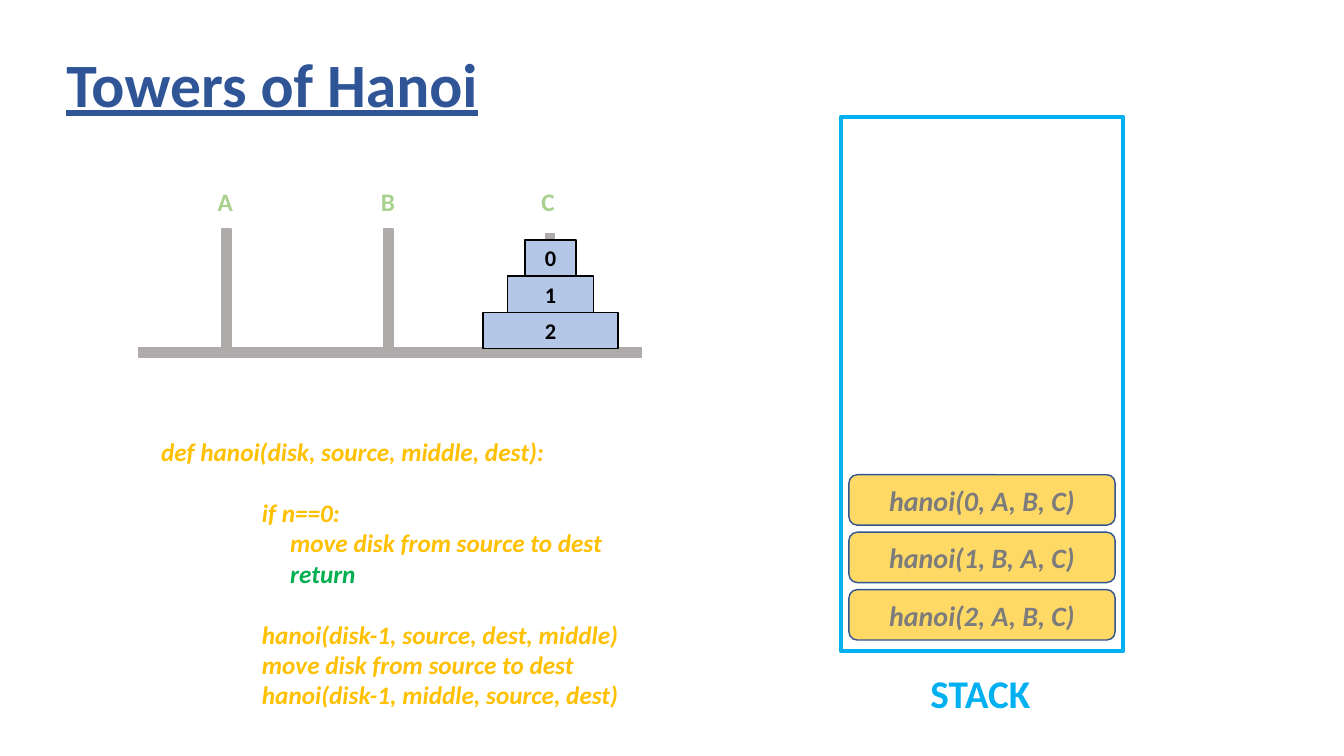
from pptx import Presentation
from pptx import util as u
from pptx.dml.color import RGBColor
from pptx.enum import shapes, text

PX = 9144  # 100 px to the inch
FONT = "Calibri"
NAVY = RGBColor(0x2F, 0x55, 0x97)
GRAY = RGBColor(0xAF, 0xAB, 0xAB)
PALE_BLUE = RGBColor(0xB4, 0xC7, 0xE7)
BLACK = RGBColor(0, 0, 0)
CYAN = RGBColor(0x00, 0xB0, 0xF0)
PALE_GREEN = RGBColor(0xA9, 0xD1, 0x8E)
GOLD = RGBColor(0xFF, 0xC0, 0x00)
GREEN = RGBColor(0x00, 0xB0, 0x50)
YELLOW = RGBColor(0xFF, 0xD9, 0x66)
FRAME_EDGE = RGBColor(0x32, 0x54, 0x91)
DARK_GRAY = RGBColor(0x7C, 0x7C, 0x7C)

presentation = Presentation()
presentation.slide_width = 1333 * PX
presentation.slide_height = 750 * PX
slide = presentation.slides.add_slide(presentation.slide_layouts[6])


def add_box(kind, left, top, width, height, fill, edge, weight=1):
    shape = slide.shapes.add_shape(kind, *(round(n * PX) for n in (left, top, width, height)))
    shape.shadow.inherit = False
    if fill is None:
        shape.fill.background()
    else:
        shape.fill.solid()
        shape.fill.fore_color.rgb = fill
    shape.line.color.rgb = edge
    shape.line.width = u.Pt(weight)
    return shape


def write(paragraph, words, size, color, italic=False, align=text.PP_ALIGN.LEFT):
    paragraph.text = words
    paragraph.alignment = align
    font = paragraph.font
    font.name, font.size, font.bold, font.italic = FONT, u.Pt(size), True, italic
    font.color.rgb = color


RECTANGLE = shapes.MSO_SHAPE.RECTANGLE
ROUNDED = shapes.MSO_SHAPE.ROUNDED_RECTANGLE
CENTER = text.PP_ALIGN.CENTER

# Title
title = slide.shapes.add_textbox(56 * PX, 14 * PX, 1150 * PX, 145 * PX).text_frame
title.word_wrap = True
title.vertical_anchor = text.MSO_ANCHOR.MIDDLE
write(title.paragraphs[0], "Towers of Hanoi", 44, NAVY)
title.paragraphs[0].font.underline = True
title.paragraphs[0].line_spacing = 0.9

# Base and pegs
add_box(RECTANGLE, 138, 345, 498, 10, GRAY, GRAY)
for left, top in ((220, 227), (381, 227), (541, 232)):
    add_box(RECTANGLE, left, top, 9, 118, GRAY, GRAY)

# Disks, largest at the bottom
for disk, width in ((2, 134), (1, 85), (0, 51)):
    shape = add_box(RECTANGLE, 546 - width / 2, 238 + 36 * disk, width, 36, PALE_BLUE, BLACK)
    write(shape.text_frame.paragraphs[0], str(disk), 16, BLACK, align=CENTER)

# Peg names and stack caption
for words, left, top, width, height, size, color in (
    ("A", 206, 180, 35, 40, 18, PALE_GREEN),
    ("B", 368, 180, 35, 40, 18, PALE_GREEN),
    ("C", 527, 180, 29, 40, 18, PALE_GREEN),
    ("STACK", 913, 659, 122, 57, 28, CYAN),
):
    label = slide.shapes.add_textbox(left * PX, top * PX, width * PX, height * PX).text_frame
    label.word_wrap = False
    write(label.paragraphs[0], words, size, color)

# Call stack
add_box(RECTANGLE, 834, 116, 280, 530, None, CYAN, 3)
for row, call in enumerate(("hanoi(0, A, B, C)", "hanoi(1, B, A, C)", "hanoi(2, A, B, C)")):
    shape = add_box(ROUNDED, 842, 471 + 57 * row, 264, 50, YELLOW, FRAME_EDGE)
    write(shape.text_frame.paragraphs[0], call, 20, DARK_GRAY, True, CENTER)

# Code: words, indent in px, space before in points, colour
code = slide.shapes.add_textbox(150 * PX, 428 * PX, 479 * PX, 283 * PX).text_frame
code.word_wrap = False
for number, (words, indent, gap, color) in enumerate((
    ("def hanoi(disk, source, middle, dest):", 0, 0, GOLD),
    ("if n==0:", 100, 22, GOLD),
    ("move disk from source to dest", 128, 0, GOLD),
    ("return", 128, 0, GREEN),
    ("hanoi(disk-1, source, dest, middle)", 100, 22, GOLD),
    ("move disk from source to dest", 100, 0, GOLD),
    ("hanoi(disk-1, middle, source, dest)", 100, 0, GOLD),
)):
    paragraph = code.add_paragraph() if number else code.paragraphs[0]
    write(paragraph, words, 18, color, True)
    properties = paragraph._p.get_or_add_pPr()
    properties.set("marL", str(indent * PX))
    properties.set("indent", "0")
    if gap:
        paragraph.space_before = u.Pt(gap)

presentation.save("out.pptx")
